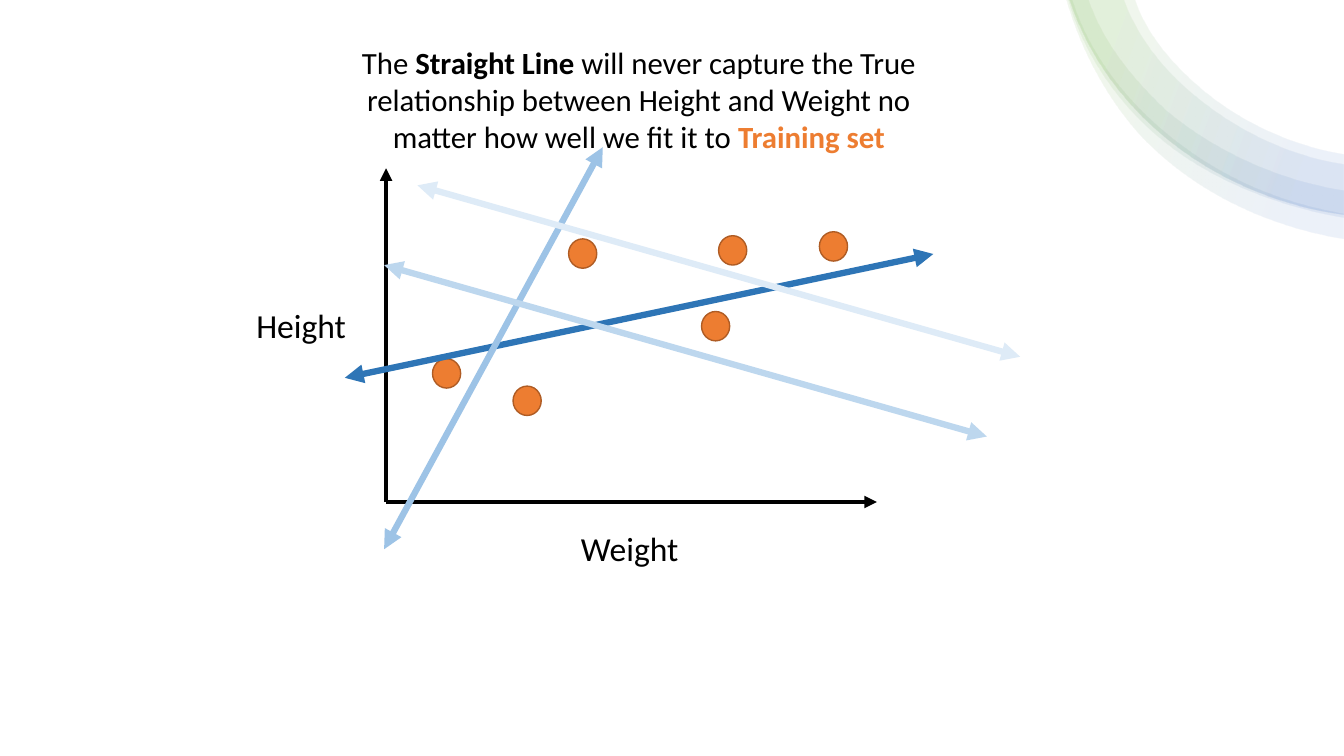
import pptx
import pptx.util
import pptx.dml.color
import pptx.enum.shapes
import pptx.enum.text
import pptx.oxml
import pptx.oxml.ns
import lxml.etree

Cm = pptx.util.Cm
Pt = pptx.util.Pt
SHAPE = pptx.enum.shapes.MSO_SHAPE
FONT = "Calibri"
COLORS = {
    "black": "000000", "orange": "ED7D31", "rust": "AF5C24",
    "green": "70AD47", "blue": "4472C4", "deep": "2E75B6", "mid": "9DC3E6",
    "light": "BDD7EE", "pale": "DEEBF7",
}
STOPS = [(16, "green"), (85, "blue")]
RIM = [(0.08, 0), (1.07, 2.97), (3.86, 4.98), (6.99, 5.41)]
BANDS = [
    ([(0, 0), (0.36, 1.24), (0.99, 2.44), (1.85, 3.4),
      (3.2, 4.83), (5.03, 5.69), (6.99, 6.02)],
     [(6.99, 5.38), (5.66, 5.16), (4.39, 4.67), (3.3, 3.94),
      (1.88, 3), (0.66, 1.63), (0.15, 0)]),
    (RIM,
     [(6.99, 3.89), (5.72, 3.68), (4.47, 3.12), (3.48, 2.31),
      (2.74, 1.7), (2.03, 0.91), (1.73, 0)]),
    ([(0.05, 0), (0.38, 1.22), (1.14, 2.39), (2.08, 3.25),
      (3.4, 4.47), (5.21, 5.18), (6.99, 5.49)],
     [(6.99, 4.8), (5.33, 4.55), (3.73, 3.81), (2.51, 2.79),
      (1.68, 2.01), (0.91, 1.07), (0.56, 0)]),
    (RIM,
     [(6.99, 4.14), (5.66, 3.94), (4.37, 3.33), (3.33, 2.49),
      (2.49, 1.83), (1.8, 0.97), (1.45, 0)]),
]
DOTS = [(3.2, 5.49), (1.17, 4.8), (4.6, 1.78), (8.38, 1.7), (7.95, 3.61), (10.92, 1.6)]
FITS = [
    ((-0.05, 9.6), (5.46, -0.53), "mid"),
    ((-0.05, 2.44), (15.14, 6.76), "light"),
    ((0.79, 0.43), (15.98, 4.75), "pale"),
]
CAPTION = [
    ("The ", False, "black"),
    ("Straight Line ", True, "black"),
    ("will never capture the True relationship between Height and Weight "
     "no matter how well we fit it to ", False, "black"),
    ("Training set", True, "orange"),
]


def rgb(name):
    return pptx.dml.color.RGBColor.from_string(COLORS[name])


def node(parent, tag, **attrs):
    return lxml.etree.SubElement(parent, pptx.oxml.ns.qn(tag), **attrs)


def bend(lines):
    for first in range(0, len(lines), 3):
        trio = lines[first:first + 3]
        curve = lxml.etree.Element(pptx.oxml.ns.qn("a:cubicBezTo"))
        trio[0].addprevious(curve)
        for line in trio:
            curve.append(line[0])
            line.getparent().remove(line)


def shade(shape):
    shape.fill.gradient()
    grad = shape.fill._fill._gradFill
    for child in list(grad):
        grad.remove(child)
    stops = node(grad, "a:gsLst")
    for spot, name in STOPS:
        stop = node(stops, "a:gs", pos=str(spot * 1000))
        color = node(stop, "a:srgbClr", val=COLORS[name])
        node(color, "a:alpha", val="10000")
    node(grad, "a:lin", ang=str(20 * 60000), scaled="0")


def corner(slide, left, top):
    for outer, inner in BANDS:
        edge = [(Cm(left + x), Cm(top + y)) for x, y in outer + inner]
        pen = slide.shapes.build_freeform(*edge[0])
        pen.add_line_segments(edge[1:], close=True)
        band = pen.convert_to_shape()
        lines = list(band._element.iter(pptx.oxml.ns.qn("a:lnTo")))
        bend(lines[:len(outer) - 1])
        bend(lines[len(outer):])
        band.shadow.inherit = False
        band.line.fill.background()
        shade(band)


def arrow(slide, left, top, start, end, color, width, both=False):
    line = slide.shapes.add_connector(
        pptx.enum.shapes.MSO_CONNECTOR.STRAIGHT,
        Cm(left + start[0]), Cm(top + start[1]), Cm(left + end[0]), Cm(top + end[1]))
    line.line.color.rgb = rgb(color)
    line.line.width = Pt(width)
    stroke = line.line._get_or_add_ln()
    if both:
        node(stroke, "a:headEnd", type="triangle")
    node(stroke, "a:tailEnd", type="triangle")
    node(line._element.spPr, "a:effectLst")


def label(slide, left, top, width, height, runs, size):
    box = slide.shapes.add_textbox(Cm(left), Cm(top), Cm(width), Cm(height))
    box.text_frame.word_wrap = True
    para = box.text_frame.paragraphs[0]
    para.alignment = pptx.enum.text.PP_ALIGN.CENTER
    para.font.name = FONT
    para.font.size = Pt(size)
    for text, bold, color in runs:
        run = para.add_run()
        run.text = text
        run.font.bold = bold
        run.font.color.rgb = rgb(color)


def plot(slide, left, top, width, height):
    base = (0, height)
    for tip in [(0, 0), (width, height)]:
        arrow(slide, left, top, base, tip, "black", 3)
    for text, x, y in [("Weight", 3.56, 8.94), ("Height", -4.72, 3.33)]:
        label(slide, left + x, top + y, 5.16, 1.27, [(text, False, "black")], 24)
    for x, y in DOTS:
        dot = slide.shapes.add_shape(
            SHAPE.FLOWCHART_CONNECTOR, Cm(left + x), Cm(top + y), Cm(0.71), Cm(0.74))
        dot.shadow.inherit = False
        dot.fill.solid()
        dot.fill.fore_color.rgb = rgb("orange")
        dot.line.color.rgb = rgb("rust")
        dot.line.width = Pt(1)
    arrow(slide, left, top, (-1.04, 5.28), (13.79, 2.16), "deep", 4.5, True)


def trials(slide, left, top):
    for start, end, color in FITS:
        arrow(slide, left, top, start, end, color, 4.5, True)


def main():
    deck = pptx.Presentation()
    deck.slide_width = Cm(33.87)
    deck.slide_height = Cm(19.05)
    slide = deck.slides.add_slide(deck.slide_layouts[6])
    corner(slide, 26.88, 0)
    plot(slide, 9.73, 4.24, 12.37, 8.41)
    label(slide, 8, 0.98, 16.2, 3.07, CAPTION, 22)
    trials(slide, 9.73, 4.24)
    deck.save("out.pptx")


if __name__ == "__main__":
    main()
